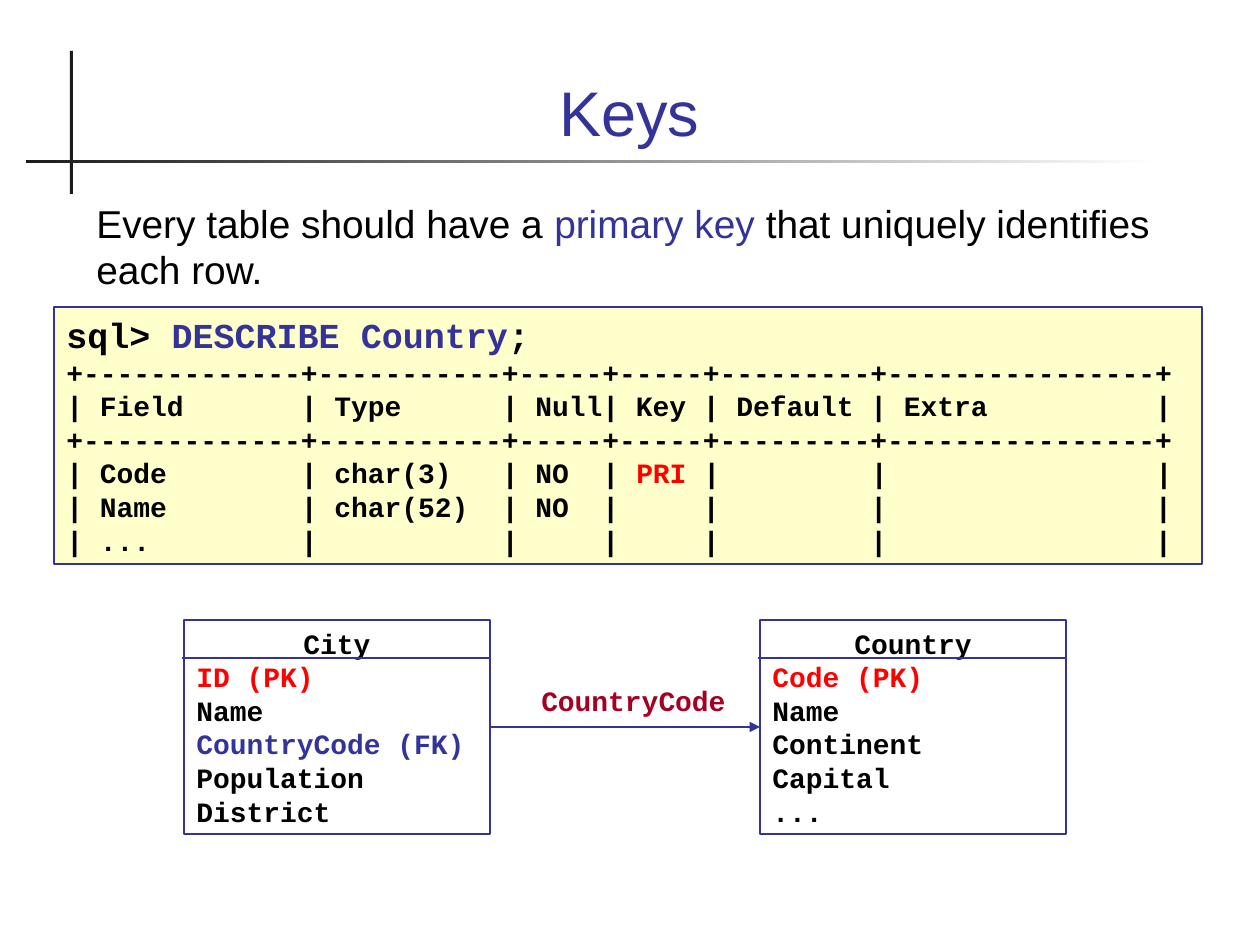
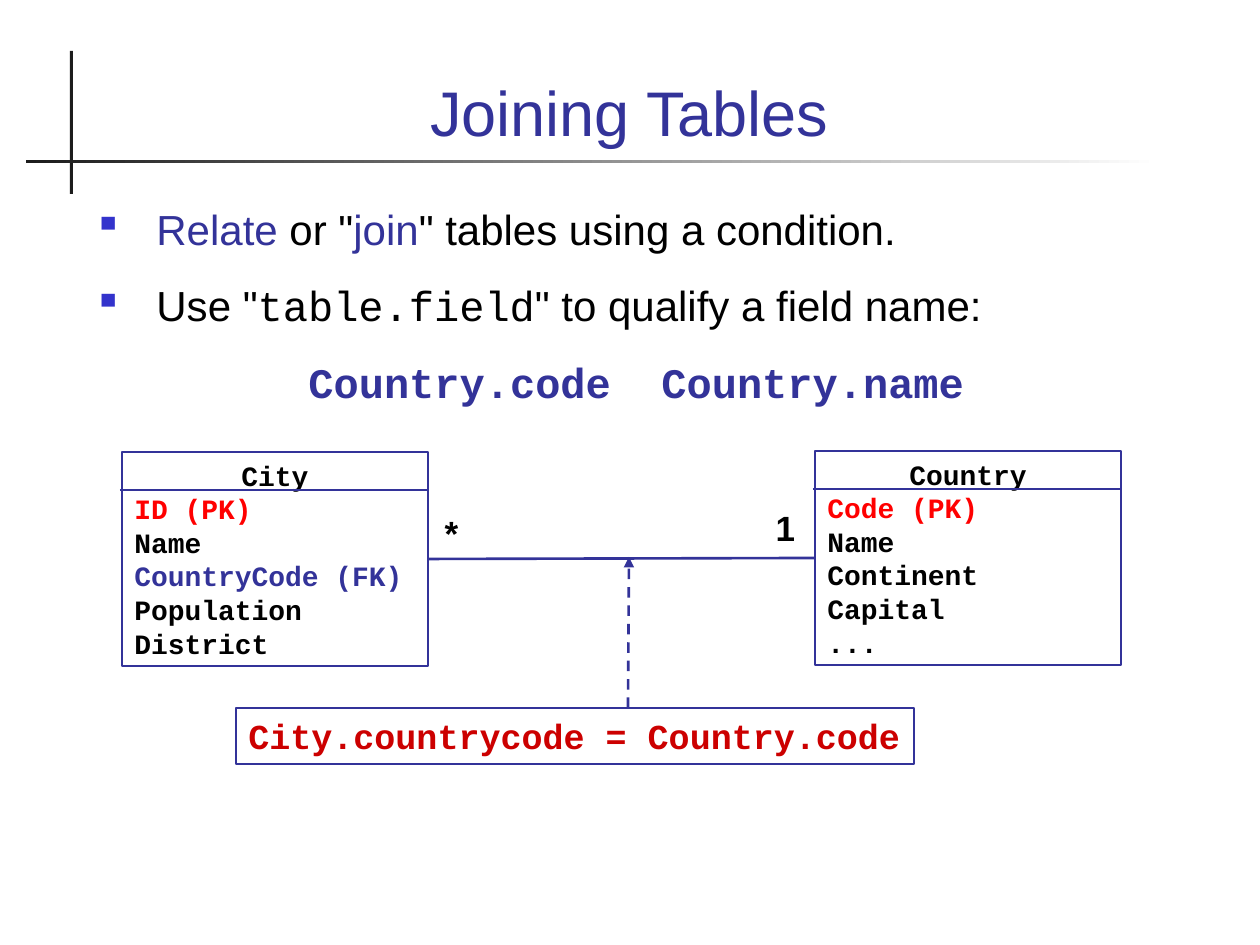
from lxml.etree import SubElement
from pptx import Presentation
from pptx.dml.color import RGBColor
from pptx.enum.dml import MSO_LINE
from pptx.enum.shapes import MSO_CONNECTOR, MSO_SHAPE
from pptx.enum.text import MSO_ANCHOR, PP_ALIGN
from pptx.oxml.ns import qn
from pptx.util import Pt

SCALE = 914400 / 126
BLUE, RED, BLACK = "333399", "FF0000", "000000"
WINE, CRIMSON, DARK = "A50021", "CC0000", "1C1C1C"
CREAM, WHITE, BULLET = "FFFFCC", "FFFFFF", "3333CC"
SANS, MONO = "Arial", "Courier New"
CARD = 306, 214
CITY = "City", "ID (PK)", "Name", "CountryCode (FK)", "Population", "District"
COUNTRY = "Country", "Code (PK)", "Name", "Continent", "Capital", "..."
COLS = 13, 11, 5, 5, 9, 16


def px(*nums):
    out = [round(n * SCALE) for n in nums]
    return out if len(out) > 1 else out[0]


def rgb(code):
    return RGBColor.from_string(code)


def style(font, size, color, face=SANS, bold=False):
    font.size, font.name, font.bold = Pt(size), face, bold
    font.color.rgb = rgb(color)


def write(para, runs, size, face=SANS, bold=False, space=1):
    """Fill a paragraph from (text, colour) runs; a run may add its face and weight."""
    para.line_spacing = space
    for text, color, *own in runs:
        run = para.add_run()
        run.text = text
        style(run.font, size, color, *(own or (face, bold)))


def rect(slide, box, fill=None, line=None, width=1):
    shape = slide.shapes.add_shape(MSO_SHAPE.RECTANGLE, *px(*box))
    shape.shadow.inherit = False
    if fill:
        shape.fill.solid()
        shape.fill.fore_color.rgb = rgb(fill)
    else:
        shape.fill.background()
    if line:
        shape.line.color.rgb = rgb(line)
        shape.line.width = Pt(width)
    else:
        shape.line.fill.background()
    return shape


def fill_text(shape, rows, size, face=SANS, bold=False, align=PP_ALIGN.LEFT, space=1):
    """Put rows of runs into a shape and return its paragraphs."""
    frame = shape.text_frame
    frame.word_wrap = True
    frame.vertical_anchor = MSO_ANCHOR.TOP
    for i, runs in enumerate(rows):
        para = frame.add_paragraph() if i else frame.paragraphs[0]
        para.alignment = align
        write(para, runs, size, face, bold, space)
    return frame.paragraphs


def label(slide, box, text, size, color, face, align):
    area = slide.shapes.add_textbox(*px(*box))
    fill_text(area, [[(text, color)]], size, face, True, align)


def link(slide, start, end, width=1.5, arrow=False, dash=False):
    line = slide.shapes.add_connector(MSO_CONNECTOR.STRAIGHT, *px(*start, *end))
    line.line.color.rgb = rgb(BLUE)
    line.line.width = Pt(width)
    if dash:
        line.line.dash_style = MSO_LINE.DASH
    if arrow:
        SubElement(line.line._get_or_add_ln(), qn("a:tailEnd"), type="triangle")
    SubElement(line._element.spPr, qn("a:effectLst"))
    return line


def join(slide, left, right, arrow=False):
    line = link(slide, (0, 0), (0, 0), arrow=arrow)
    line.begin_connect(left, 3)
    line.end_connect(right, 1)


def start(deck, title):
    """Add a slide with the crossed bars and its title."""
    slide = deck.slides.add_slide(deck.slide_layouts[5])
    rect(slide, (70, 51, 3, 143), DARK)
    bar = rect(slide, (26, 160, 1133, 3), DARK)
    bar.fill.gradient()
    bar.fill.gradient_angle = 0
    for stop, color in zip(bar.fill.gradient_stops, (DARK, WHITE)):
        stop.color.rgb = rgb(color)
    head = slide.shapes.title
    head.left, head.top, head.width, head.height = px(84, 35, 1091, 120)
    head.text_frame.text = title
    head.text_frame.vertical_anchor = MSO_ANCHOR.BOTTOM
    para = head.text_frame.paragraphs[0]
    para.alignment = PP_ALIGN.CENTER
    style(para.runs[0].font, 36, BLUE)
    return slide


def card(slide, x, y, rows):
    """Draw a table card: its name, a rule and its fields."""
    shape = rect(slide, (x, y, *CARD), line=BLUE)
    tint = {"(PK)": RED, "(FK)": BLUE}
    lines = [[(row, tint.get(row[-4:], BLACK))] for row in rows]
    paras = fill_text(shape, lines, 16, MONO, True)
    paras[0].alignment = PP_ALIGN.CENTER
    link(slide, (x - 2, y + 38), (x + CARD[0], y + 38), 0.75)
    return shape


def grid(*cells):
    cells = cells + ("",) * (len(COLS) - len(cells))
    return "|" + "|".join(f" {c}".ljust(n) for c, n in zip(cells, COLS)) + "|"


def listing(slide, box):
    shape = rect(slide, box, CREAM, BLUE, 0.75)
    rule = "+" + "+".join("-" * n for n in COLS) + "+"
    before, after = grid("Code", "char(3)", "NO", "PRI").split("PRI")
    rows = [
        [("sql> ", BLACK), ("DESCRIBE Country", BLUE), (";", BLACK)],
        [(rule, BLACK)],
        [(grid("Field", "Type", "Null", "Key", "Default", "Extra"), BLACK)],
        [(rule, BLACK)],
        [(before, BLACK), ("PRI", RED), (after, BLACK)],
        [(grid("Name", "char(52)", "NO"), BLACK)],
        [(grid("..."), BLACK)],
    ]
    paras = fill_text(shape, rows, 16, MONO, True)
    for run in paras[0].runs:
        run.font.size = Pt(20)


def bullet(para):
    props = para._p.get_or_add_pPr()
    props.set("marL", str(px(63)))
    props.set("indent", str(px(-63)))
    color = SubElement(props, qn("a:buClr"))
    SubElement(color, qn("a:srgbClr"), val=BULLET)
    SubElement(props, qn("a:buSzPct"), val="95000")
    SubElement(props, qn("a:buChar"), char="▪")


def tabs(para, *stops):
    group = SubElement(para._p.get_or_add_pPr(), qn("a:tabLst"))
    for stop in stops:
        SubElement(group, qn("a:tab"), pos=str(px(stop)), algn="l")


def points(slide, box):
    body = slide.shapes.add_textbox(*px(*box))
    rows = [
        [("Relate", BLUE), (' or "', BLACK), ("join", BLUE),
         ('" tables using a condition.', BLACK)],
        [('Use "', BLACK), ("table.field", BLACK, MONO),
         ('" to qualify a field name:', BLACK)],
        [("\tCountry.code\tCountry.name", BLUE, MONO, True)],
    ]
    paras = fill_text(body, rows, 24)
    for para in paras[1:]:
        para.space_before = Pt(15)
    for para in paras[:2]:
        bullet(para)
    tabs(paras[2], 215, 568)


def keys(deck):
    slide = start(deck, "Keys")
    body = slide.shapes.add_textbox(*px(84, 193, 1091, 110))
    fill_text(body, [[("Every table should have a ", BLACK), ("primary key", BLUE),
                      (" that uniquely identifies each row.", BLACK)]], 22.2)
    city = card(slide, 184, 620, CITY)
    country = card(slide, 760, 620, COUNTRY)
    join(slide, city, country, arrow=True)
    label(slide, (504, 677, 234, 47), "CountryCode", 16, WINE, MONO, PP_ALIGN.RIGHT)
    listing(slide, (54, 307, 1148, 257))


def joins(deck):
    slide = start(deck, "Joining Tables")
    points(slide, (81, 197, 1091, 265))
    city = card(slide, 122, 452, CITY)
    country = card(slide, 815, 451, COUNTRY)
    join(slide, city, country)
    rule = rect(slide, (236, 708, 678, 56), line=BLUE, width=0.75)
    fill_text(rule, [[("City.countrycode = Country.code", CRIMSON)]], 20, MONO, True)
    link(slide, (628, 708), (629, 557), arrow=True, dash=True)
    for x, y, mark in ((759, 500, "1"), (425, 505, "*")):
        label(slide, (x, y, 53, 56), mark, 20, BLACK, SANS, PP_ALIGN.CENTER)


def main():
    deck = Presentation()
    deck.slide_width, deck.slide_height = px(1260, 945)
    keys(deck)
    joins(deck)
    deck.save("out.pptx")


if __name__ == "__main__":
    main()
